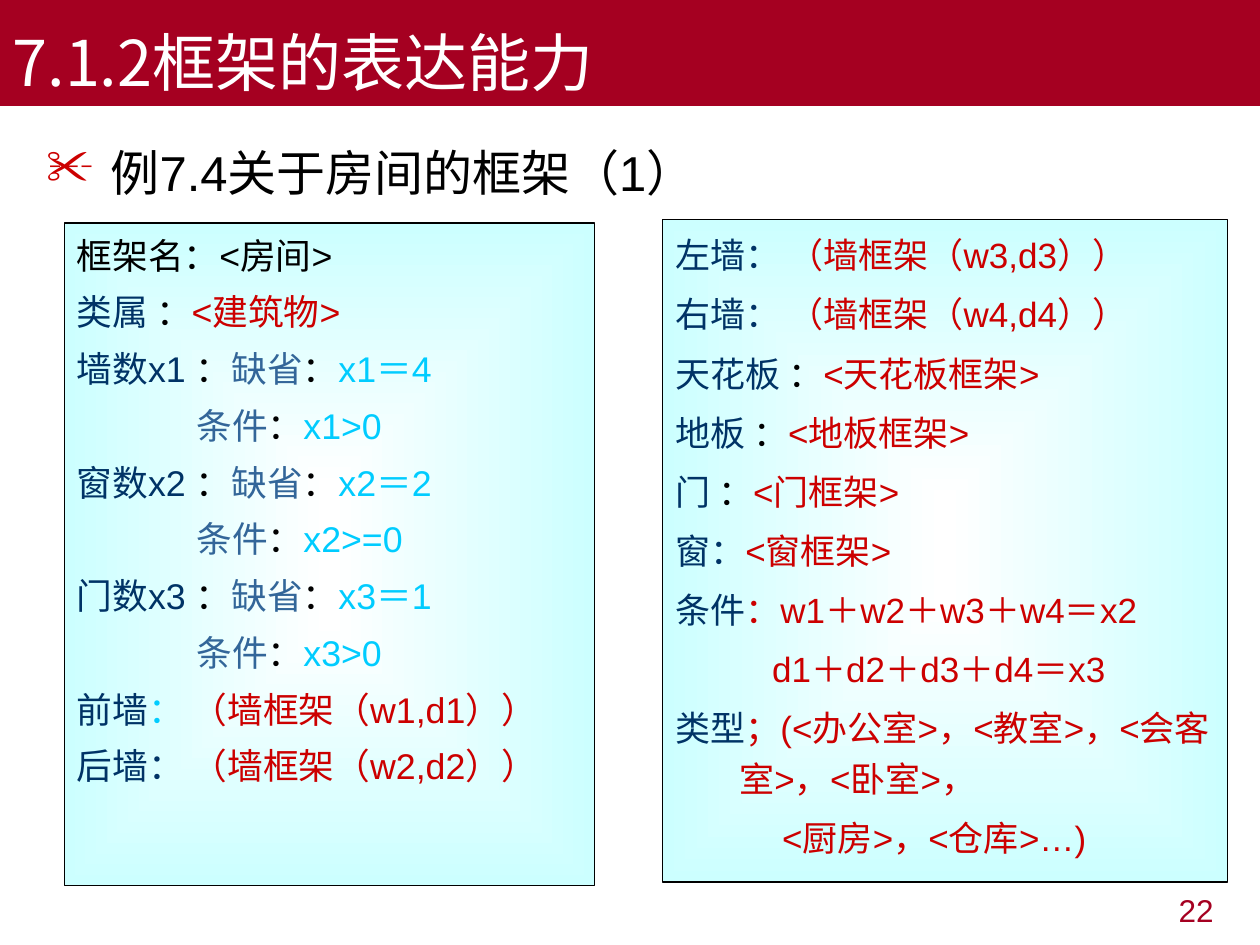
from lxml import etree
from pptx import Presentation
from pptx.dml.color import RGBColor
from pptx.enum.shapes import MSO_SHAPE
from pptx.enum.text import MSO_ANCHOR, MSO_AUTO_SIZE, PP_ALIGN
from pptx.oxml.ns import qn
from pptx.util import Inches, Pt

RECTANGLE = MSO_SHAPE.RECTANGLE
TOP, BOTTOM = MSO_ANCHOR.TOP, MSO_ANCHOR.BOTTOM
LEFT, RIGHT = PP_ALIGN.LEFT, PP_ALIGN.RIGHT
NO_FIT = MSO_AUTO_SIZE.NONE
TITLE_ONLY = 5

LATIN_FONT = "Arial"
CJK_FONT = "Noto Sans CJK SC"
HANGING = 0.51

COLORS = {
    "banner": "A50021",
    "white": "FFFFFF",
    "black": "000000",
    "aqua": "CCFFFF",
    "slot": "003366",
    "facet": "336699",
    "value": "00CCFF",
    "frame": "CC0000",
}


def rgb(name):
    return RGBColor.from_string(COLORS[name])


def place(shape, box):
    shape.left, shape.top, shape.width, shape.height = (Inches(n) for n in box)


def write(paragraph, runs, size, font=LATIN_FONT, align=LEFT, line_spacing=None,
          space_before=0, margin=0, indent=0):
    """Fill a paragraph with (colour name, text) runs in one format."""
    paragraph.alignment = align
    paragraph.space_before = Pt(space_before)
    if line_spacing:
        paragraph.line_spacing = line_spacing
    properties = paragraph._p.get_or_add_pPr()
    properties.set("marL", str(Inches(margin)))
    properties.set("indent", str(Inches(indent)))
    for color, text in runs:
        run = paragraph.add_run()
        run.text = text
        run.font.size = Pt(size)
        run.font.name = font
        run.font.color.rgb = rgb(color)
        east_asian = etree.SubElement(run.font._element, qn("a:ea"))
        east_asian.set("typeface", CJK_FONT)


def add_bullet(paragraph, char, color):
    properties = paragraph._p.get_or_add_pPr()
    bullet_color = etree.SubElement(properties, qn("a:buClr"))
    etree.SubElement(bullet_color, qn("a:srgbClr")).set("val", COLORS[color])
    etree.SubElement(properties, qn("a:buChar")).set("char", char)


def fill_from_center(shape, inner, outer):
    """Rectangular gradient that runs from the middle to the edges."""
    shape.fill.gradient()
    for stop, color, position in zip(shape.fill.gradient_stops, (inner, outer), (0, 1)):
        stop.color.rgb = rgb(color)
        stop.position = position
    gradient = shape._element.spPr.find(qn("a:gradFill"))
    linear = gradient.find(qn("a:lin"))
    rectangular = etree.Element(qn("a:path"), {"path": "rect"})
    center = etree.SubElement(rectangular, qn("a:fillToRect"))
    for side in "ltrb":
        center.set(side, "50000")
    gradient.replace(linear, rectangular)


def add_banner(slide, box, text):
    title = slide.shapes.title
    place(title, box)
    title.fill.solid()
    title.fill.fore_color.rgb = rgb("banner")
    frame = title.text_frame
    frame.auto_size = NO_FIT
    frame.vertical_anchor = BOTTOM
    write(frame.paragraphs[0], [("white", text)], 36, font=CJK_FONT)


def add_text_box(slide, box):
    """Return the first paragraph of a wrapping text box."""
    text_box = slide.shapes.add_textbox(*(Inches(n) for n in box))
    text_box.text_frame.word_wrap = True
    return text_box.text_frame.paragraphs[0]


def add_example_heading(slide, box, text):
    heading = add_text_box(slide, box)
    write(heading, [("black", text)], 28, line_spacing=1.2, space_before=7,
          margin=HANGING, indent=-HANGING)
    add_bullet(heading, "✂", "frame")


def add_page_number(slide, box, number):
    write(add_text_box(slide, box), [("banner", number)], 18, align=RIGHT)


def add_frame_panel(slide, box, lines, **text_format):
    """Panel of slot lines; each line is (start offset, runs)."""
    panel = slide.shapes.add_shape(RECTANGLE, *(Inches(n) for n in box))
    panel.shadow.inherit = False
    fill_from_center(panel, "white", "aqua")
    panel.line.color.rgb = rgb("black")
    panel.line.width = Pt(0.75)
    frame = panel.text_frame
    frame.word_wrap = True
    frame.vertical_anchor = TOP
    for number, (start, runs) in enumerate(lines):
        paragraph = frame.add_paragraph() if number else frame.paragraphs[0]
        margin = max(HANGING, start)
        write(paragraph, runs, margin=margin, indent=start - margin, **text_format)


def count_lines(slot, default, condition):
    """Default and condition lines of a numeric slot."""
    colon = ("black", "：")
    return [
        (0, [("slot", slot + " "), colon, ("facet", "缺省"), colon, ("value", default)]),
        (0.95, [("facet", "条件"), colon, ("value", condition)]),
    ]


def slot_line(slot, value, colon=" ：", colon_color="black"):
    return 0, [("slot", slot), (colon_color, colon), ("frame", value)]


def wall_line(slot, arguments, colon_color="slot"):
    return slot_line(slot, f"（墙框架（{arguments}））", "： ", colon_color)


def main():
    presentation = Presentation()
    presentation.slide_width = Inches(10)
    presentation.slide_height = Inches(7.5)
    slide = presentation.slides.add_slide(presentation.slide_layouts[TITLE_ONLY])

    room_lines = [
        (0, [("black", "框架名：<房间>")]),
        slot_line("类属", "<建筑物>"),
        *count_lines("墙数x1", "x1＝4", "x1>0"),
        *count_lines("窗数x2", "x2＝2", "x2>=0"),
        *count_lines("门数x3", "x3＝1", "x3>0"),
        wall_line("前墙", "w1,d1", colon_color="value"),
        wall_line("后墙", "w2,d2"),
    ]
    part_lines = [
        wall_line("左墙", "w3,d3"),
        wall_line("右墙", "w4,d4"),
        slot_line("天花板", "<天花板框架>"),
        slot_line("地板", "<地板框架>"),
        slot_line("门", "<门框架>"),
        slot_line("窗", "<窗框架>", "：", "slot"),
        slot_line("条件", "w1＋w2＋w3＋w4＝x2", "：", "frame"),
        (0.77, [("frame", "d1＋d2＋d3＋d4＝x3")]),
        slot_line("类型", "(<办公室>，<教室>，<会客室>，<卧室>，", "；", "frame"),
        (0.85, [("frame", "<厨房>，<仓库>…)")]),
    ]

    add_page_number(slide, (7.4, 7.02, 2.33, 0.52), "22")
    add_banner(slide, (0, 0, 10, 0.84), "7.1.2框架的表达能力")
    add_example_heading(slide, (0.27, 0.99, 9.45, 5.91), "例7.4关于房间的框架（1）")
    add_frame_panel(slide, (0.51, 1.77, 4.21, 5.26), room_lines,
                    size=20.4, line_spacing=1.1, space_before=5.5)
    add_frame_panel(slide, (5.26, 1.74, 4.48, 5.26), part_lines,
                    size=20, line_spacing=1.2, space_before=5)
    presentation.save("out.pptx")


if __name__ == "__main__":
    main()
